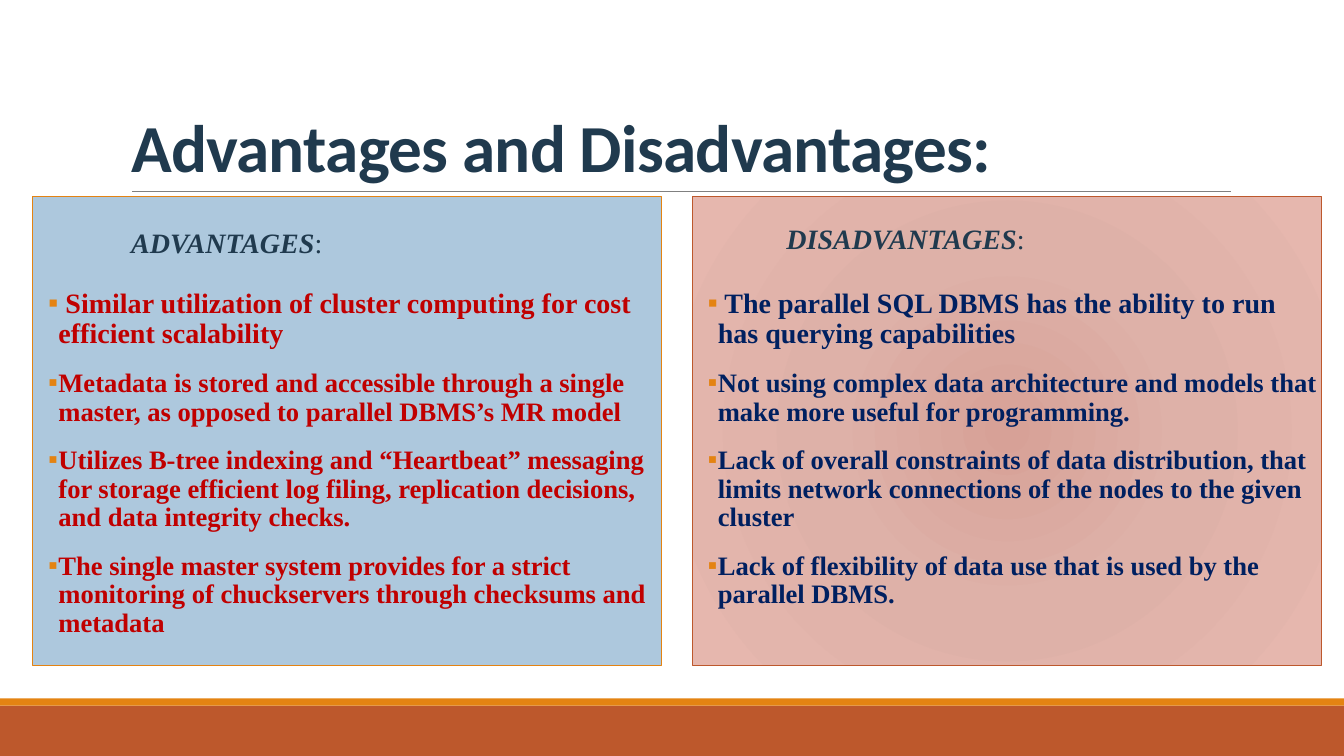
import pptx
import pptx.dml.color
import pptx.enum.shapes
import pptx.enum.text
import pptx.oxml
import pptx.oxml.ns
import pptx.util

Inches, Pt = pptx.util.Inches, pptx.util.Pt
RGBColor = pptx.dml.color.RGBColor
Anchor = pptx.enum.text.MSO_ANCHOR

ORANGE = RGBColor(0xE4, 0x83, 0x12)
RUST = RGBColor(0xBD, 0x58, 0x2C)
GRAY = RGBColor(0x80, 0x80, 0x80)
NAVY = RGBColor(0x20, 0x3A, 0x4E)
PALE_BLUE = RGBColor(0xAD, 0xC8, 0xDD)
RED = RGBColor(0xC0, 0x00, 0x00)
DARK_BLUE = RGBColor(0x00, 0x20, 0x60)
ROSE_STOPS = [(0, RGBColor(0xD7, 0xA1, 0x97)), (45, RGBColor(0xDE, 0xB1, 0xA8)),
              (100, RGBColor(0xE6, 0xB7, 0xAE))]
SERIF = "Times New Roman"

TITLE = "Advantages and Disadvantages:"
COLUMNS = [
    {"heading": "ADVANTAGES", "heading_at": (1.2, 2.02), "panel_left": 0.32,
     "list_left": 0.48, "border": ORANGE, "color": RED,
     "points": [
         " Similar utilization of cluster computing for cost efficient scalability",
         "Metadata is stored and accessible through a single master, as opposed to "
         "parallel DBMS’s MR model",
         "Utilizes B-tree indexing and “Heartbeat” messaging for storage efficient log "
         "filing, replication decisions, and data integrity checks.",
         "The single master system provides for a strict monitoring of chuckservers "
         "through checksums and metadata"]},
    {"heading": "DISADVANTAGES", "heading_at": (7.7, 1.98), "panel_left": 6.87,
     "list_left": 7.02, "border": RUST, "color": DARK_BLUE,
     "points": [
         " The parallel SQL DBMS has the ability to run has querying capabilities",
         "Not using complex data architecture and models that make more useful for "
         "programming.",
         "Lack of overall constraints of data distribution, that limits network "
         "connections of the nodes to the given cluster",
         "Lack of flexibility of data use that is used by the parallel DBMS."]},
]


def xml(text):
    return pptx.oxml.parse_xml(text.replace(" ", f" {pptx.oxml.ns.nsdecls('a')} ", 1))


def add_box(page, left, top, width, height, color, border=None):
    box = page.shapes.add_shape(pptx.enum.shapes.MSO_SHAPE.RECTANGLE, Inches(left),
                                Inches(top), Inches(width), Inches(height))
    box.shadow.inherit = False
    box.fill.solid()
    box.fill.fore_color.rgb = color
    if border is None:
        box.line.fill.background()
    else:
        box.line.color.rgb = border
        box.line.width = Pt(1)
    return box


def fill_radial(box, stops):
    marks = "".join(f'<a:gs pos="{position * 1000}"><a:srgbClr val="{color}"/></a:gs>'
                    for position, color in stops)
    gradient = xml(f'<a:gradFill rotWithShape="1"><a:gsLst>{marks}</a:gsLst>'
                   '<a:path path="circle"><a:fillToRect l="100000" t="100000" '
                   'r="100000" b="100000"/></a:path></a:gradFill>')
    solid = box._element.spPr.find(pptx.oxml.ns.qn("a:solidFill"))
    solid.getparent().replace(solid, gradient)


def place(holder, left, top, width, height, anchor):
    """Move a placeholder, raise it above the panels and return its text frame."""
    holder.left, holder.top = Inches(left), Inches(top)
    holder.width, holder.height = Inches(width), Inches(height)
    holder._element.getparent().append(holder._element)
    frame = holder.text_frame
    frame.word_wrap = True
    frame.auto_size = pptx.enum.text.MSO_AUTO_SIZE.NONE
    frame.vertical_anchor = anchor
    return frame


def style(span, name, size, color, bold=True, italic=False):
    span.font.name, span.font.size = name, Pt(size)
    span.font.color.rgb = color
    span.font.bold, span.font.italic = bold, italic


def space(para):
    para.line_spacing = 0.9
    para.space_before, para.space_after = Pt(12), Pt(2)


def add_bullet(para):
    properties = para._p.get_or_add_pPr()
    properties.set("marL", str(Inches(0.1)))
    properties.set("indent", str(-Inches(0.1)))
    properties.append(xml(f'<a:buClr ><a:srgbClr val="{ORANGE}"/></a:buClr>'))
    properties.append(xml('<a:buFont typeface="Calibri"/>'))
    properties.append(xml('<a:buChar char="▪"/>'))


def fill_column(page, column, heading_holder, list_holder):
    frame = place(heading_holder, *column["heading_at"], 5.4, 0.81, Anchor.MIDDLE)
    para = frame.paragraphs[0]
    space(para)
    for text, strong in ((column["heading"], True), (":", False)):
        span = para.add_run()
        span.text = text
        style(span, SERIF, 20, NAVY, strong, strong)

    frame = place(list_holder, column["list_left"], 2.82, 6.08, 3.69, Anchor.TOP)
    frame.margin_left = frame.margin_right = 0
    frame.text = "\n".join(column["points"])
    for index, para in enumerate(frame.paragraphs):
        space(para)
        add_bullet(para)
        style(para.runs[0], SERIF, 19 if index else 20, column["color"])


def main():
    deck = pptx.Presentation()
    deck.slide_width, deck.slide_height = Inches(13.33), Inches(7.5)
    page = deck.slides.add_slide(deck.slide_layouts.get_by_name("Comparison"))
    holders = {holder.placeholder_format.idx: holder for holder in page.placeholders
               if holder.placeholder_format.idx < 10}

    add_box(page, 0, 7, 13.33, 0.5, RUST)
    add_box(page, 0, 6.93, 13.33, 0.07, ORANGE)
    rule = page.shapes.add_connector(pptx.enum.shapes.MSO_CONNECTOR.STRAIGHT, Inches(1.31),
                                     Inches(1.9), Inches(12.21), Inches(1.9))
    rule.line.color.rgb = GRAY
    rule.line.width = Pt(0.5)
    rule._element.spPr.append(xml("<a:effectLst />"))
    panels = [add_box(page, column["panel_left"], 1.95, 6.24, 4.65, PALE_BLUE,
                      column["border"]) for column in COLUMNS]
    fill_radial(panels[1], ROSE_STOPS)

    frame = place(holders[0], 1.2, 0.31, 11, 1.59, Anchor.BOTTOM)
    frame.text = TITLE
    para = frame.paragraphs[0]
    para.alignment = pptx.enum.text.PP_ALIGN.LEFT
    para.line_spacing = 0.85
    style(para.runs[0], "Calibri", 48, NAVY)
    para.runs[0]._r.get_or_add_rPr().set("spc", "-50")

    for index, column in enumerate(COLUMNS):
        fill_column(page, column, holders[2 * index + 1], holders[2 * index + 2])
    deck.save("out.pptx")


if __name__ == "__main__":
    main()
